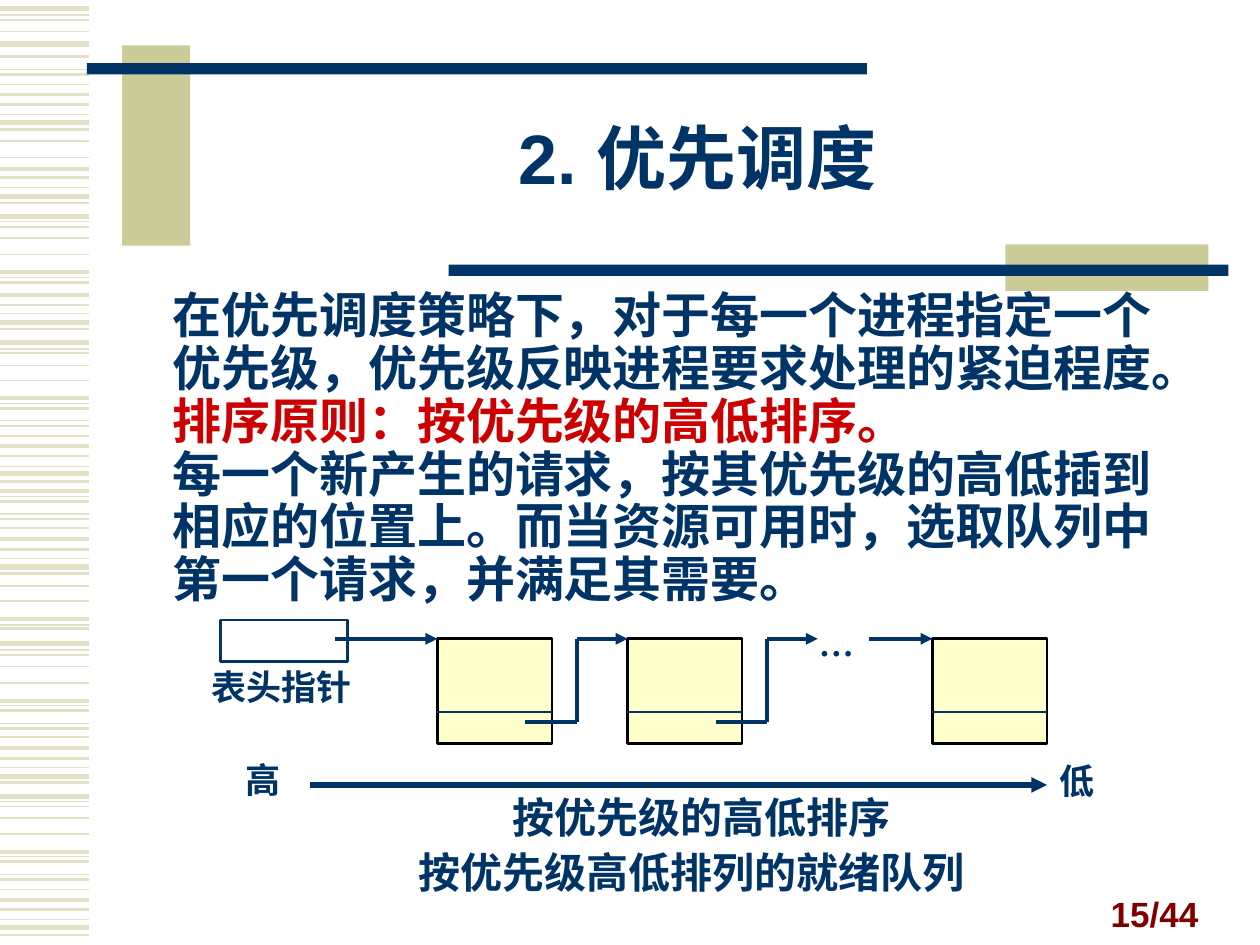
import pptx
import pptx.dml.color
import pptx.enum.shapes
import pptx.enum.text
import pptx.oxml
import pptx.oxml.ns
import pptx.util
from dataclasses import dataclass

Inches = pptx.util.Inches
ALIGN = pptx.enum.text.PP_ALIGN
ANCHOR = pptx.enum.text.MSO_ANCHOR


@dataclass(frozen=True)
class Theme:
    navy: str = "003366"
    khaki: str = "CCCC99"
    stripe: str = "E3E2C7"
    cream: str = "FFFFCC"
    white: str = "FFFFFF"
    black: str = "000000"
    red: str = "CC0000"
    maroon: str = "800000"
    sans: str = "Arial"
    serif: str = "Times New Roman"
    title_size: int = 40
    body_size: int = 28
    caption_size: int = 24
    label_size: int = 20
    outline: float = 1.5
    link: float = 2.25
    axis: float = 3


def rgb(value):
    return pptx.dml.color.RGBColor.from_string(value)


class SlideBuilder:
    def __init__(self, slide, theme):
        self.slide = slide
        self.theme = theme
        self.shapes = slide.shapes

    def start_group(self):
        self.shapes = self.slide.shapes.add_group_shape().shapes

    def end_group(self):
        self.shapes = self.slide.shapes

    def rectangle(self, left, top, width, height, fill, line=None):
        shape = self.shapes.add_shape(
            pptx.enum.shapes.MSO_SHAPE.RECTANGLE,
            Inches(left), Inches(top), Inches(width), Inches(height))
        shape.shadow.inherit = False
        shape.fill.solid()
        shape.fill.fore_color.rgb = rgb(fill)
        if line:
            shape.line.color.rgb = rgb(line)
            shape.line.width = pptx.util.Pt(self.theme.outline)
        else:
            shape.line.fill.background()

    def line(self, start, end, width, colour=None, arrow=False):
        connector = self.shapes.add_connector(
            pptx.enum.shapes.MSO_CONNECTOR.STRAIGHT,
            *(Inches(value) for value in (*start, *end)))
        connector.line.color.rgb = rgb(colour or self.theme.navy)
        connector.line.width = pptx.util.Pt(width)
        if arrow:
            outline = connector.line._get_or_add_ln()
            outline.append(pptx.oxml.parse_xml(
                f'<a:tailEnd {pptx.oxml.ns.nsdecls("a")} type="triangle"/>'))
        connector._element.spPr.append(pptx.oxml.parse_xml(
            f'<a:effectLst {pptx.oxml.ns.nsdecls("a")}/>'))

    def text(self, box, paragraphs, size, font, align=ALIGN.LEFT,
             anchor=ANCHOR.TOP, spacing=1.0, margins=(0.1, 0.05)):
        """Add a text box; paragraphs are (wording, colour) pairs."""
        frame = self.shapes.add_textbox(
            *(Inches(value) for value in box)).text_frame
        frame.word_wrap = True
        frame.vertical_anchor = anchor
        frame.margin_left, frame.margin_top = map(Inches, margins)
        for index, (wording, colour) in enumerate(paragraphs):
            paragraph = frame.add_paragraph() if index else frame.paragraphs[0]
            paragraph.text = wording
            paragraph.alignment = align
            paragraph.line_spacing = spacing
            paragraph.font.size = pptx.util.Pt(size)
            paragraph.font.name = font
            paragraph.font.bold = True
            paragraph.font.color.rgb = rgb(colour)

    def label(self, left, top, width, height, wording, size):
        self.text((left, top, width, height), [(wording, self.theme.navy)],
                  size, self.theme.serif)


# Heights of the margin stripes, by line width in points
STRIPES = {
    0.75: (0.12, 0.55, 0.91, 1.49, 1.76, 2.2, 2.49, 2.77, 3.2, 3.34, 3.7,
           3.94, 4.08, 4.43, 4.96, 5.16, 5.6, 5.74, 6.09, 6.36, 6.8, 6.94,
           7.3),
    1: (0.16, 0.25, 0.67, 1.12, 1.25, 1.8, 1.89, 2.02, 2.8, 2.9, 3.02, 3.46,
        4.19, 4.65, 4.77, 5.2, 5.29, 5.42, 5.85, 6.4, 6.49, 6.62, 7.06),
    1.5: (0.45, 0.59, 0.83, 1.03, 1.41, 1.61, 2.24, 2.42, 2.61, 3.24, 3.38,
          3.62, 3.82, 3.98, 4.12, 4.36, 4.55, 4.99, 5.64, 5.78, 6.02, 6.21,
          6.84, 6.98, 7.22, 7.42),
    2.25: (0.75, 1.34, 2.16, 2.34, 3.16, 3.54, 3.9, 4.28, 4.91, 5.56, 5.94,
           6.76, 7.14),
    3: (0.07, 0.35, 0.97, 1.56, 1.72, 2.56, 2.72, 3.76, 4.5, 5.11, 6.16,
        6.32, 7.36),
}


def draw_background(builder):
    theme = builder.theme
    builder.start_group()
    for width, heights in STRIPES.items():
        for y in heights:
            builder.line((0, y), (0.71, y), width, theme.stripe)
    builder.end_group()
    builder.start_group()
    builder.rectangle(0.97, 0.36, 0.54, 1.59, theme.khaki)
    builder.rectangle(0.69, 0.5, 6.19, 0.09, theme.navy)
    builder.rectangle(7.98, 1.94, 1.61, 0.37, theme.khaki)
    builder.rectangle(3.56, 2.1, 6.19, 0.09, theme.navy)
    builder.end_group()


def draw_queue(builder):
    theme = builder.theme
    node_top, divider, pointer = 5.07, 5.65, 5.73
    nodes = (3.47, 4.98, 7.4)
    builder.start_group()
    builder.rectangle(1.75, 4.92, 1.01, 0.33, theme.white, theme.navy)
    builder.text((6.36, 4.83, 0.64, 0.32), [("…", theme.navy)],
                 theme.label_size, theme.serif, margins=(0.14, 0.1))
    for left in nodes:
        builder.rectangle(left, node_top, 0.91, 0.83, theme.cream, theme.black)
        builder.line((left, divider), (left + 0.91, divider), theme.outline)
    for left in nodes[:2]:
        bend = left + 1.11
        builder.line((left + 0.7, pointer), (bend, pointer), theme.link)
        builder.line((bend, pointer), (bend, node_top), theme.link)
        builder.line((bend, node_top), (left + 1.51, node_top), theme.link,
                     arrow=True)
    for start, end in ((2.66, nodes[0]), (6.9, nodes[2])):
        builder.line((start, node_top), (end, node_top), theme.link, arrow=True)
    builder.line((2.46, 6.23), (8.31, 6.23), theme.axis, arrow=True)
    builder.label(1.58, 5.23, 1.42, 0.43, "表头指针", theme.label_size)
    builder.label(1.85, 5.97, 0.61, 0.43, "高", theme.label_size)
    builder.label(8.31, 5.98, 0.61, 0.43, "低", theme.label_size)
    builder.label(3.97, 6.23, 3.36, 0.5, "按优先级的高低排序",
                  theme.caption_size)
    builder.label(3.22, 6.67, 4.95, 0.5, "按优先级高低排列的就绪队列",
                  theme.caption_size)
    builder.end_group()


def main():
    presentation = pptx.Presentation()
    presentation.slide_width = Inches(10)
    presentation.slide_height = Inches(7.5)
    theme = Theme()
    slide = presentation.slides.add_slide(presentation.slide_layouts[6])
    builder = SlideBuilder(slide, theme)
    draw_background(builder)
    builder.text((1.5, 0.67, 8.07, 1.25), [("2. 优先调度", theme.navy)],
                 theme.title_size, theme.sans, ALIGN.CENTER, ANCHOR.MIDDLE,
                 spacing=0.85)
    builder.text((0.89, 2.26, 8.7, 2.66), [
        ("在优先调度策略下，对于每一个进程指定一个优先级，"
         "优先级反映进程要求处理的紧迫程度。", theme.navy),
        ("排序原则：按优先级的高低排序。", theme.red),
        ("每一个新产生的请求，按其优先级的高低插到相应的位置上。"
         "而当资源可用时，选取队列中第一个请求，并满足其需要。", theme.navy),
    ], theme.body_size, theme.sans, spacing=0.9, margins=(0.48, 0.05))
    draw_queue(builder)
    builder.text((7.21, 6.97, 2.4, 0.5), [("15/44", theme.maroon)],
                 theme.label_size, theme.sans, ALIGN.RIGHT, ANCHOR.BOTTOM)
    presentation.save("out.pptx")


if __name__ == "__main__":
    main()
